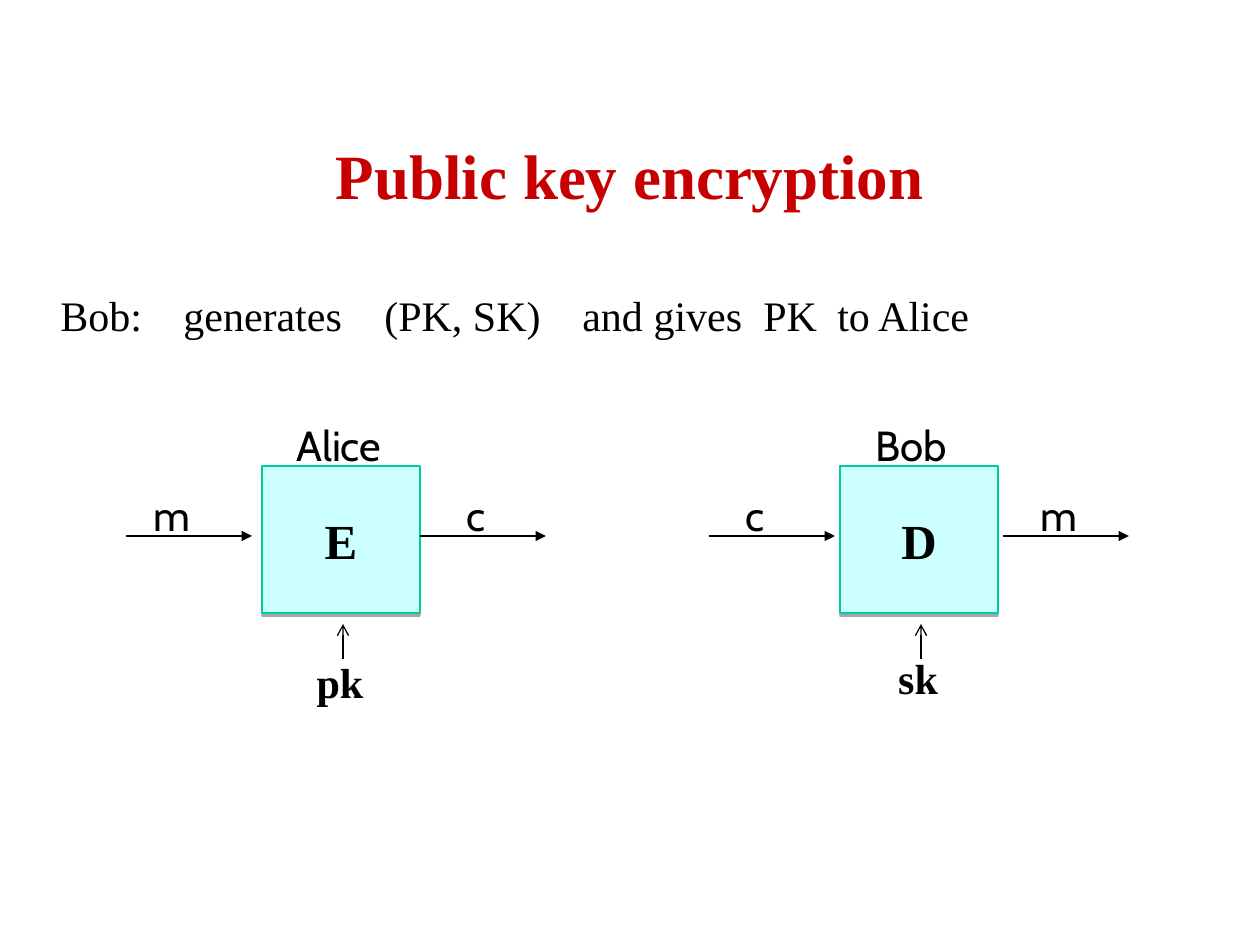
from lxml.etree import SubElement
from pptx import Presentation
from pptx.dml.color import RGBColor
from pptx.enum.shapes import MSO_CONNECTOR, MSO_SHAPE
from pptx.enum.text import MSO_ANCHOR, PP_ALIGN
from pptx.oxml.ns import qn
from pptx.util import Emu, Pt

SERIF, SANS = "Times New Roman", "Cabin"
BLACK = "000000"
LABEL_H = 63
LABEL_W = {"Alice": 120, "Bob": 106, "m": 68, "c": 48, "pk": 76, "sk": 70}


def px(n):
    return Emu(round(n * 914400 / 126))


def rgb(color):
    return RGBColor.from_string(color)


def set_text(tf, text, size, font=SERIF, color=BLACK, bold=False,
             align=PP_ALIGN.CENTER):
    p = tf.paragraphs[0]
    p.text = text
    p.alignment = align
    p.font.size = Pt(size)
    p.font.name = font
    p.font.bold = bold
    p.font.color.rgb = rgb(color)


def add_label(s, center, top, text, font=SANS, bold=False):
    w = LABEL_W[text]
    sp = s.shapes.add_textbox(px(center - w / 2), px(top), px(w), px(LABEL_H))
    sp.text_frame.word_wrap = False
    set_text(sp.text_frame, text, 24, font, bold=bold)


def add_arrow(s, x1, y1, x2, y2, head="triangle"):
    sp = s.shapes.add_connector(MSO_CONNECTOR.STRAIGHT,
                                px(x1), px(y1), px(x2), px(y2))
    sp.line.color.rgb = rgb(BLACK)
    sp.line.width = Pt(0.75)
    SubElement(sp.line._get_or_add_ln(), qn("a:tailEnd"), type=head)
    SubElement(sp._element.spPr, qn("a:effectLst"))


def add_drop_shadow(sp):
    sp.shadow.inherit = False
    effects = sp._element.spPr.find(qn("a:effectLst"))
    shadow = SubElement(effects, qn("a:outerShdw"), blurRad="0",
                        dist=str(Pt(1.8)), dir="5400000", rotWithShape="0")
    color = SubElement(shadow, qn("a:srgbClr"), val=BLACK)
    SubElement(color, qn("a:alpha"), val="35000")


def add_title(s, left, top, width, height):
    sp = s.shapes.title
    sp.left, sp.top, sp.width, sp.height = map(px, (left, top, width, height))
    sp.text_frame.vertical_anchor = MSO_ANCHOR.MIDDLE
    set_text(sp.text_frame, "Public key encryption", 36, color="C60000", bold=True)


def add_key_setup(s, left, top, width, height):
    sp = s.shapes.add_textbox(px(left), px(top), px(width), px(height))
    sp.text_frame.word_wrap = True
    parts = ["Bob:", "generates", "(PK, SK)", "and gives", "PK", "to Alice"]
    p = sp.text_frame.paragraphs[0]
    tabs = SubElement(p._p.get_or_add_pPr(), qn("a:tabLst"))
    for stop in (123, 324, 522, 703, 777):
        SubElement(tabs, qn("a:tab"), pos=str(px(stop)), algn="l")
    set_text(sp.text_frame, "\t".join(parts), 24, align=PP_ALIGN.LEFT)


def add_cipher(s, left, top, width, height, letter, owner, owner_center,
               source, result, key, key_top, shift):
    # Cipher box
    sp = s.shapes.add_shape(MSO_SHAPE.RECTANGLE,
                            px(left), px(top), px(width), px(height))
    sp.fill.solid()
    sp.fill.fore_color.rgb = rgb("CCFFFF")
    sp.line.color.rgb = rgb("00CC98")
    sp.line.width = Pt(0.75)
    add_drop_shadow(sp)
    sp.text_frame.vertical_anchor = MSO_ANCHOR.MIDDLE
    set_text(sp.text_frame, letter, 28, bold=True)
    add_label(s, left + owner_center, top - 53, owner)

    # Input and output, each an arrow with a label
    wires = ((left - 136 + shift, 46, source),
             (left + width + shift, 56, result))
    for x, offset, text in wires:
        add_arrow(s, x, top + 70, x + 126, top + 70)
        add_label(s, x + offset, top + 17, text)

    # Key
    x = left + 81
    add_arrow(s, x, top + 193, x, top + 158, "arrow")
    add_label(s, x - 3, top + key_top, key, SERIF, bold=True)


def main():
    prs = Presentation()
    prs.slide_width, prs.slide_height = px(1260), px(945)
    s = prs.slides.add_slide(prs.slide_layouts[5])
    add_title(s, 63, 115, 1134, 118)
    add_key_setup(s, 48, 283, 948, LABEL_H)
    add_cipher(s, 262, 466, 158, 147, "E", "Alice", 77, "m", "c", "pk", 184, 0)
    add_cipher(s, 840, 466, 158, 147, "D", "Bob", 71, "c", "m", "sk", 180, 5)
    prs.save("out.pptx")


if __name__ == "__main__":
    main()
